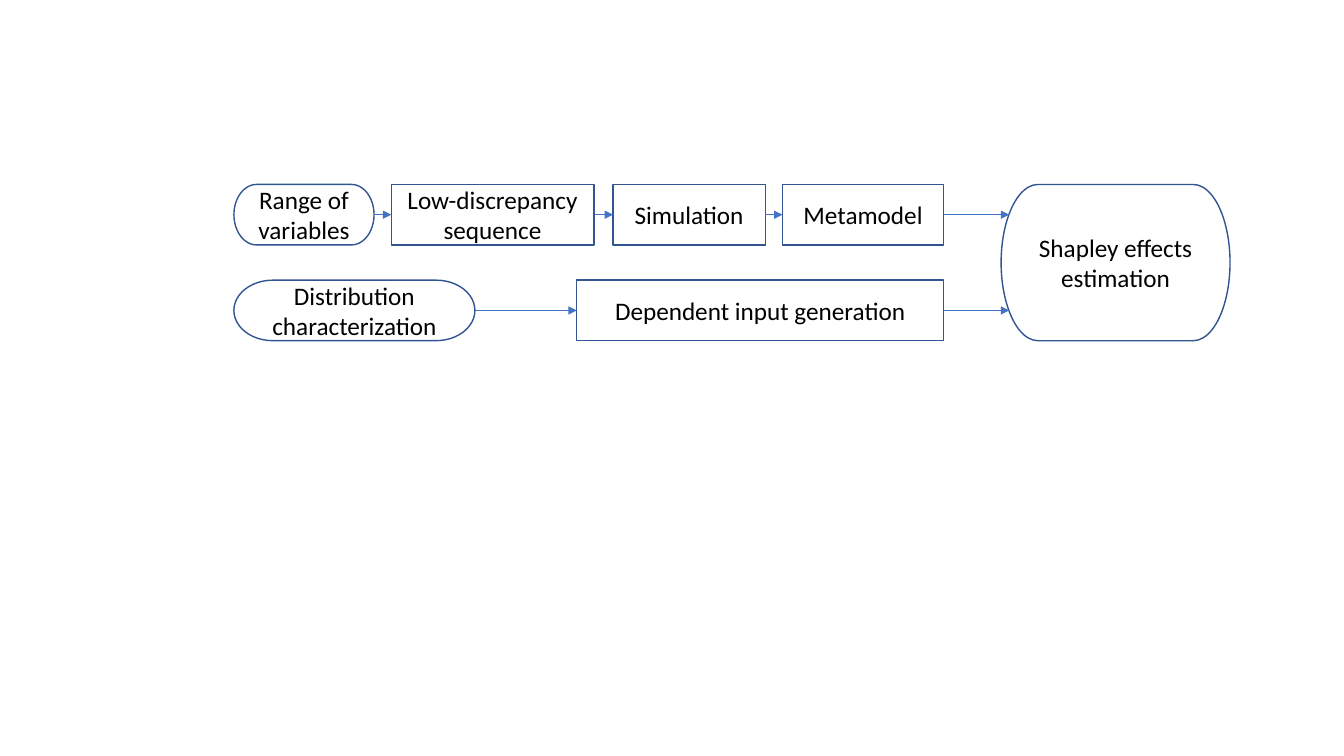
from itertools import pairwise

from lxml.etree import SubElement
from pptx import Presentation
from pptx.dml.color import RGBColor
from pptx.enum.shapes import MSO_CONNECTOR, MSO_SHAPE
from pptx.enum.text import MSO_ANCHOR, PP_ALIGN
from pptx.oxml.ns import qn
from pptx.util import Inches, Pt

COLORS = {"outline": "325491", "arrow": "4472C4", "text": "000000"}
END, STEP = MSO_SHAPE.FLOWCHART_TERMINATOR, MSO_SHAPE.FLOWCHART_PROCESS

# Each row: boxes as (text, shape, left, width), in inches
ROWS = [
    [("Range of variables", END, 2.32, 1.39),
     ("Low-discrepancy sequence", STEP, 3.88, 2.01),
     ("Simulation", STEP, 6.08, 1.51),
     ("Metamodel", STEP, 7.76, 1.6)],
    [("Distribution characterization", END, 2.32, 2.39),
     ("Dependent input generation", STEP, 5.72, 3.64)],
]
RESULT = ("Shapley effects estimation", END, 9.93, 2.27)
TOP, ROW_H, ROW_PITCH = 1.83, 0.6, 0.95
RESULT_H = ROW_PITCH * (len(ROWS) - 1) + ROW_H
RESULT_EDGE = RESULT[2] + 0.08  # where the curved side meets the row centres


def color(name):
    """Return a palette colour."""
    return RGBColor.from_string(COLORS[name])


def write(tf, text, size=18, font="Calibri", fill="text", align=PP_ALIGN.CENTER):
    """Put formatted text into a frame, centred vertically."""
    tf.word_wrap = True
    tf.vertical_anchor = MSO_ANCHOR.MIDDLE
    p = tf.paragraphs[0]
    p.alignment = align
    r = p.add_run()
    r.text = text
    r.font.size, r.font.name = Pt(size), font
    r.font.color.rgb = color(fill)


def add_box(s, box, top, height):
    """Draw one outlined flowchart box with its label."""
    text, kind, left, width = box
    sp = s.shapes.add_shape(kind, *map(Inches, (left, top, width, height)))
    sp.shadow.inherit = False
    sp.fill.background()
    sp.line.color.rgb = color("outline")
    sp.line.width = Pt(1)
    write(sp.text_frame, text)


def add_arrow(s, x1, x2, y):
    """Draw a horizontal arrow from x1 to x2."""
    cx = s.shapes.add_connector(MSO_CONNECTOR.STRAIGHT, *map(Inches, (x1, y, x2, y)))
    cx.line.color.rgb = color("arrow")
    cx.line.width = Pt(0.5)
    SubElement(cx.line._get_or_add_ln(), qn("a:tailEnd"), type="triangle")
    SubElement(cx._element.spPr, qn("a:effectLst"))


prs = Presentation()
prs.slide_width, prs.slide_height = Inches(13.33), Inches(7.5)
s = prs.slides.add_slide(prs.slide_layouts[6])

add_box(s, RESULT, TOP, RESULT_H)
for i, row in enumerate(ROWS):
    top = TOP + i * ROW_PITCH
    for box in row:
        add_box(s, box, top, ROW_H)
    starts = [left + width for _, _, left, width in row]
    targets = [after[2] for _, after in pairwise(row)] + [RESULT_EDGE]
    for x1, x2 in zip(starts, targets):
        add_arrow(s, x1, x2, top + ROW_H / 2)

prs.save("out.pptx")
